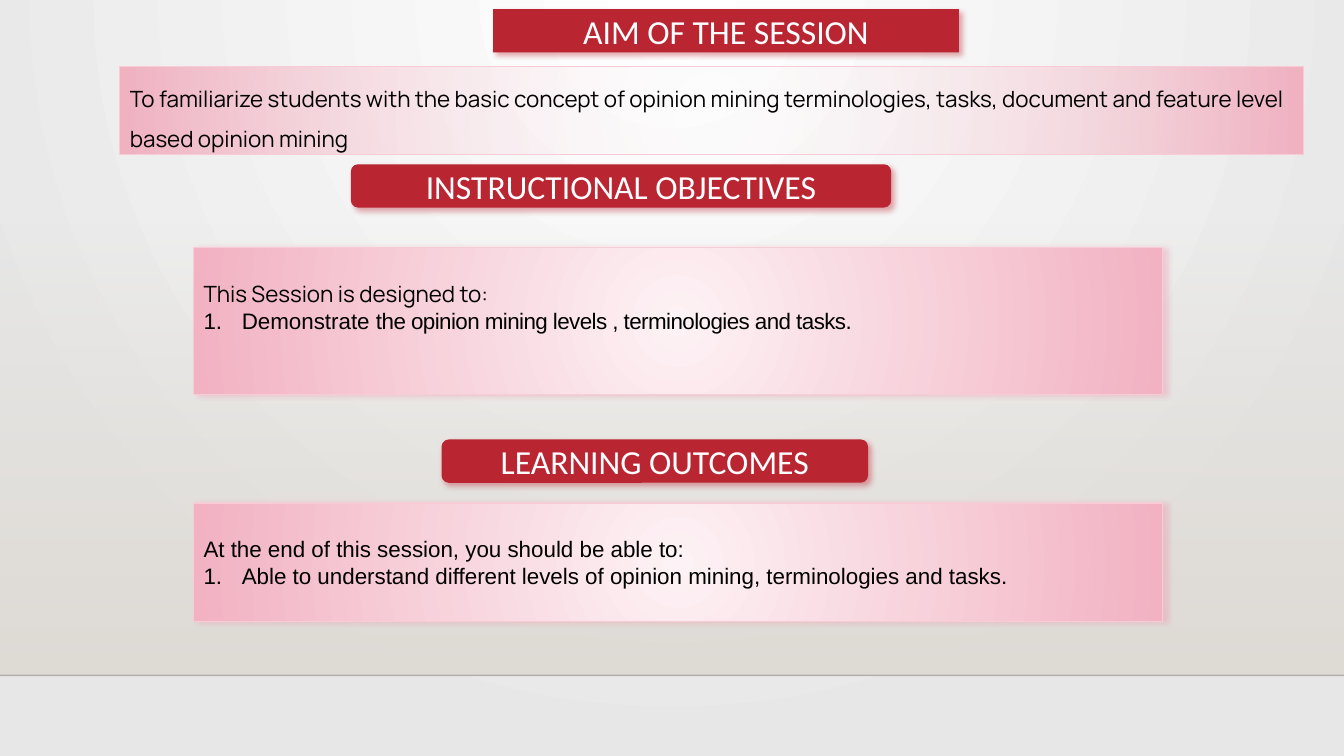
from lxml import etree
from pptx import Presentation
from pptx.dml.color import RGBColor
from pptx.enum.shapes import MSO_CONNECTOR, MSO_SHAPE
from pptx.enum.text import MSO_ANCHOR, MSO_AUTO_SIZE, PP_ALIGN
from pptx.oxml import parse_xml
from pptx.oxml.ns import nsdecls, qn
from pptx.util import Inches, Pt

RECTANGLE, ROUNDED = MSO_SHAPE.RECTANGLE, MSO_SHAPE.ROUNDED_RECTANGLE
STRAIGHT = MSO_CONNECTOR.STRAIGHT
TOP, MIDDLE = MSO_ANCHOR.TOP, MSO_ANCHOR.MIDDLE
LEFT, CENTER = PP_ALIGN.LEFT, PP_ALIGN.CENTER
NO_FIT = MSO_AUTO_SIZE.NONE

BLACK = RGBColor(0x00, 0x00, 0x00)
WHITE = RGBColor(0xFF, 0xFF, 0xFF)
GREY = RGBColor(0xE7, 0xE7, 0xE7)
SAND = RGBColor(0xDF, 0xDB, 0xD5)
RED = RGBColor(0xBA, 0x25, 0x32)
PALE_PINK = RGBColor(0xFD, 0xF2, 0xF5)
PINK = RGBColor(0xF2, 0xB2, 0xC2)
PINK_BORDER = RGBColor(0xF7, 0xCC, 0xD6)
PINK_SHADOW = RGBColor(0xEE, 0x99, 0xAD)

HEADING_FORMAT = {"size": Pt(24), "name": "Calibri"}
BODY_SIZE = Pt(16)
HEADING_HEIGHT = 0.43
FLOOR_TOP = 6.7
CENTRE_FOCUS = (50, 50, 50, 50)


def gradient(inner, outer, focus=None, inner_alpha=100):
    """Radial gradient around the focus, or a vertical one without a focus."""
    if focus:
        sides = " ".join(f'{side}="{value * 1000}"' for side, value in zip("ltrb", focus))
        direction = f'<a:path path="circle"><a:fillToRect {sides}/></a:path>'
    else:
        direction = '<a:lin ang="5400000" scaled="0"/>'
    return parse_xml(
        f'<a:gradFill {nsdecls("a")} rotWithShape="1"><a:gsLst>'
        f'<a:gs pos="0"><a:srgbClr val="{inner}"><a:alpha val="{inner_alpha * 1000}"/></a:srgbClr></a:gs>'
        f'<a:gs pos="100000"><a:srgbClr val="{outer}"/></a:gs>'
        f'</a:gsLst>{direction}</a:gradFill>')


def fill_gradient(shape, fill):
    shape.fill.background()
    properties = shape._element.spPr
    properties.replace(properties.find(qn("a:noFill")), fill)


def add_shadow(shape, color, angle):
    shape.shadow.inherit = False
    shape._element.spPr.find(qn("a:effectLst")).append(parse_xml(
        f'<a:outerShdw {nsdecls("a")} blurRad="{Pt(4)}" dist="{Pt(3)}" dir="{angle * 60000}" '
        f'algn="tl" rotWithShape="0"><a:srgbClr val="{color}"><a:alpha val="40000"/>'
        '</a:srgbClr></a:outerShdw>'))


def format_font(font, color, values):
    font.color.rgb = color
    for name, value in values.items():
        setattr(font, name, value)


def place(shape, box):
    for name, value in zip(("left", "top", "width", "height"), box):
        setattr(shape, name, Inches(value))


def build_background(slide, width):
    # Page gradient
    page = parse_xml(f'<p:bg {nsdecls("p")}><p:bgPr/></p:bg>')
    page[0].append(gradient(WHITE, GREY, (43, 0, 43, 100)))
    etree.SubElement(page[0], qn("a:effectLst"))
    slide._element.cSld.insert(0, page)

    # Sand-coloured wall above the floor line
    wall_top = 2.21
    wall = slide.shapes.add_shape(RECTANGLE, 0, Inches(wall_top), Inches(width),
                                  Inches(FLOOR_TOP - wall_top))
    wall.shadow.inherit = False
    fill_gradient(wall, gradient(SAND, SAND, inner_alpha=0))
    wall.line.fill.background()

    # Floor line
    floor = slide.shapes.add_connector(STRAIGHT, 0, Inches(FLOOR_TOP),
                                       Inches(width), Inches(FLOOR_TOP))
    floor.line.width = Pt(1)
    floor.line.color.rgb = BLACK
    color = floor.line._ln.find(".//" + qn("a:srgbClr"))
    etree.SubElement(color, qn("a:alpha"), val="20000")
    etree.SubElement(floor._element.spPr, qn("a:effectLst"))


def style_heading(shape, text):
    shape.fill.solid()
    shape.fill.fore_color.rgb = RED
    shape.line.fill.background()
    add_shadow(shape, RED, 45)
    frame = shape.text_frame
    frame.text = text
    frame.auto_size = NO_FIT
    frame.vertical_anchor = MIDDLE
    frame.paragraphs[0].alignment = CENTER
    format_font(frame.paragraphs[0].runs[0].font, WHITE, HEADING_FORMAT)


def build_title(slide, left, top, width, text):
    title = slide.shapes.title
    place(title, (left, top, width, HEADING_HEIGHT))
    title._element.spPr.append(parse_xml(
        f'<a:prstGeom {nsdecls("a")} prst="roundRect"><a:avLst/></a:prstGeom>'))
    style_heading(title, text)
    slide.shapes._spTree.append(title._element)  # in front of the wall


def build_heading(slide, left, top, width, text):
    box = (left, top, width, HEADING_HEIGHT)
    style_heading(slide.shapes.add_shape(ROUNDED, *map(Inches, box)), text)


def build_panel(slide, box, intro, intro_font, spacing, item=(), clear_centre=False):
    """Pink panel with an intro and, if given, one numbered item of (text, spacing) runs."""
    panel = slide.shapes.add_shape(RECTANGLE, *map(Inches, box))
    fill_gradient(panel, gradient(PALE_PINK, PINK, CENTRE_FOCUS, 0 if clear_centre else 100))
    panel.line.color.rgb = PINK_BORDER
    panel.line.width = Pt(0.75)
    if clear_centre:
        panel.shadow.inherit = False
    else:
        add_shadow(panel, PINK_SHADOW, 0)

    # Intro
    frame = panel.text_frame
    frame.word_wrap = True
    frame.vertical_anchor = TOP
    paragraph = frame.paragraphs[0]
    paragraph.alignment = LEFT
    paragraph.line_spacing = spacing
    run = paragraph.add_run()
    run.text = intro
    format_font(run.font, BLACK, {"size": BODY_SIZE, "name": intro_font})

    # Numbered item
    if item:
        paragraph = frame.add_paragraph()
        paragraph.alignment = LEFT
        properties = paragraph._p.get_or_add_pPr()
        properties.set("marL", str(Inches(0.38)))
        properties.set("indent", str(-Inches(0.38)))
        etree.SubElement(properties, qn("a:buFont"), typeface="+mj-lt")
        etree.SubElement(properties, qn("a:buAutoNum"), type="arabicPeriod")
        for text, tracking in item:
            run = paragraph.add_run()
            run.text = text
            format_font(run.font, BLACK, {"size": BODY_SIZE, "name": "Arial"})
            if tracking:
                run._r.get_or_add_rPr().set("spc", str(round(tracking * 100)))


def build_session_slide(presentation, width):
    slide = presentation.slides.add_slide(presentation.slide_layouts[5])
    build_background(slide, width)

    # Aim
    build_title(slide, 4.89, 0.09, 4.62, "AIM OF THE SESSION")
    build_panel(slide, (1.19, 0.66, 11.74, 0.87),
                "To familiarize students with the basic concept of opinion mining terminologies, "
                "tasks, document and feature level based opinion mining",
                "Manrope", 1.5, clear_centre=True)

    # Objectives
    build_heading(slide, 3.48, 1.63, 5.36, "INSTRUCTIONAL OBJECTIVES")
    build_panel(slide, (1.92, 2.46, 9.61, 1.45), "This Session is designed to:", "Manrope", 2.0,
                [("Demonstrate ", 0),
                 ("the opinion mining levels , terminologies and tasks.", -0.4)])

    # Outcomes
    build_heading(slide, 4.38, 4.36, 4.23, "LEARNING OUTCOMES")
    build_panel(slide, (1.92, 4.99, 9.61, 1.18),
                "At the end of this session, you should be able to:", "Arial", 2.0,
                [("Able to understand different levels of opinion mining, "
                  "terminologies and tasks.", 0)])


def main():
    width = 13.33
    presentation = Presentation()
    presentation.slide_width = Inches(width)
    presentation.slide_height = Inches(7.5)
    build_session_slide(presentation, width)
    presentation.save("out.pptx")


if __name__ == "__main__":
    main()
